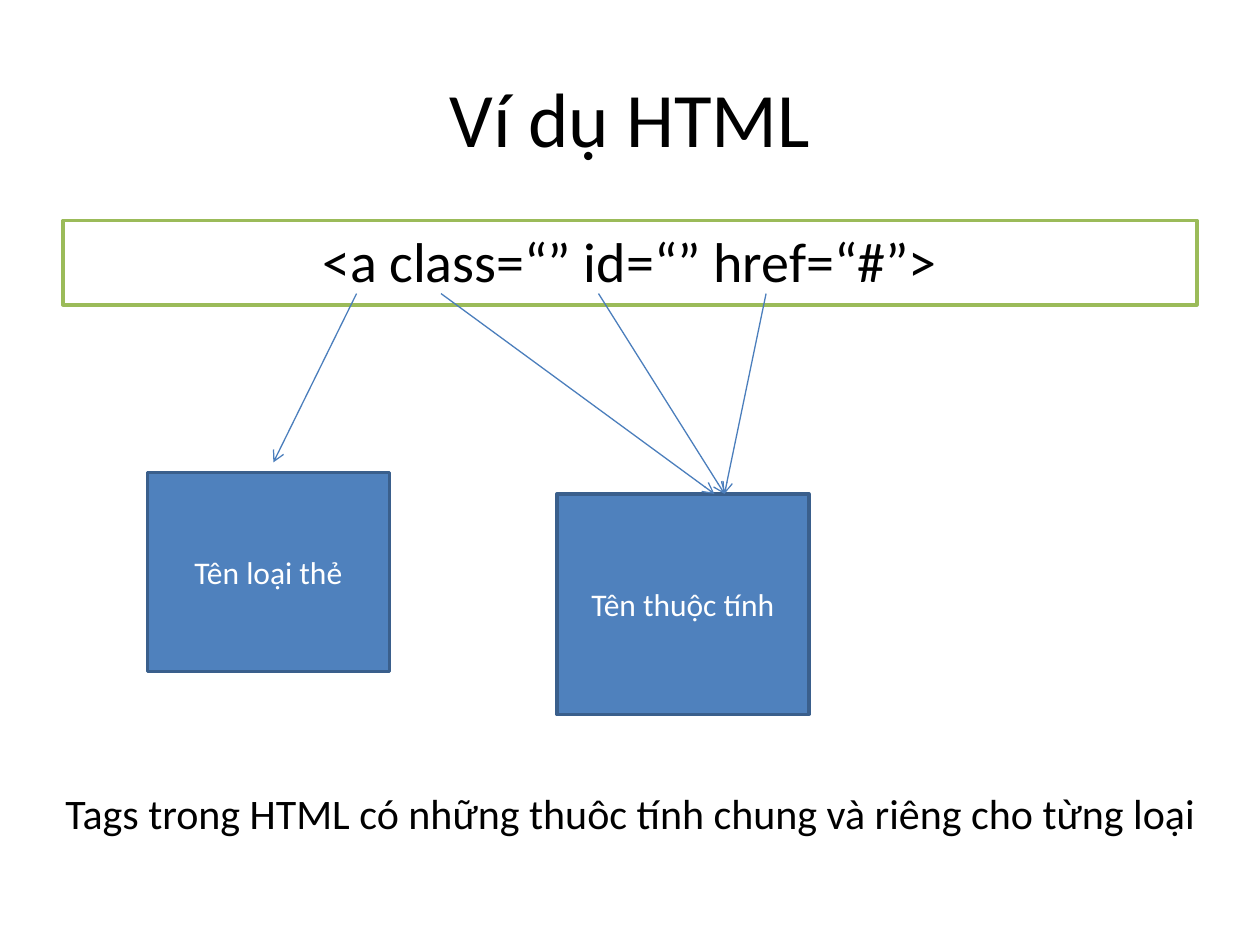
from pptx import Presentation
from pptx import util as u
from pptx.dml.color import RGBColor
from pptx.enum import shapes, text
from pptx.oxml.ns import qn
from lxml import etree

COLORS = {
    "black": "000000",
    "white": "FFFFFF",
    "green": "9BBB59",
    "blue": "4F81BD",
    "outline": "3A5F8C",
    "arrow": "4B7EBC",
}


def rgb(name):
    return RGBColor.from_string(COLORS[name])


class Page:
    font = "Calibri"

    def __init__(self, slide):
        self.slide = slide

    def add_words(self, sp, words, size, color, align, anchor, wrap=True):
        tf = sp.text_frame
        tf.word_wrap = wrap
        tf.vertical_anchor = anchor
        p = tf.paragraphs[0]
        p.alignment = align
        r = p.add_run()
        r.text = words
        r.font.name = self.font
        r.font.size = u.Pt(size)
        r.font.color.rgb = rgb(color)

    def label(self, words, at, size, align=text.PP_ALIGN.LEFT,
              anchor=text.MSO_ANCHOR.TOP, wrap=True):
        sp = self.slide.shapes.add_textbox(*map(u.Inches, at))
        self.add_words(sp, words, size, "black", align, anchor, wrap)
        return sp

    def box(self, words, at, size=18, fill="blue", line="outline",
            color="white", anchor=text.MSO_ANCHOR.MIDDLE):
        sp = self.slide.shapes.add_shape(
            shapes.MSO_SHAPE.RECTANGLE, *map(u.Inches, at))
        sp.shadow.inherit = False
        sp.fill.solid()
        sp.fill.fore_color.rgb = rgb(fill)
        sp.line.color.rgb = rgb(line)
        sp.line.width = u.Pt(2)
        self.add_words(sp, words, size, color, text.PP_ALIGN.CENTER, anchor)

    def arrow(self, start, end):
        cxn = self.slide.shapes.add_connector(
            shapes.MSO_CONNECTOR.STRAIGHT, *map(u.Inches, (*start, *end)))
        cxn.line.color.rgb = rgb("arrow")
        cxn.line.width = u.Pt(0.75)
        sp_pr = cxn._element.spPr
        etree.SubElement(sp_pr.find(qn("a:ln")), qn("a:tailEnd"), type="arrow")
        etree.SubElement(sp_pr, qn("a:effectLst"))


def main():
    prs = Presentation()
    prs.slide_width, prs.slide_height = u.Inches(10), u.Inches(7.5)
    page = Page(prs.slides.add_slide(prs.slide_layouts[6]))

    page.label("Ví dụ HTML", (0.5, 0.3, 9, 1.25), 44,
               text.PP_ALIGN.CENTER, text.MSO_ANCHOR.MIDDLE)
    page.box("<a class=“” id=“” href=“#”>", (0.5, 1.75, 9, 0.67), 32,
             "white", "green", "black", text.MSO_ANCHOR.TOP)

    page.box("Tên loại thẻ", (1.17, 3.75, 1.92, 1.58))
    page.box("Tên thuộc tính", (4.42, 3.92, 2, 1.75))

    code_y, attribute_y = 2.33, 3.92
    page.arrow((2.83, code_y), (2.17, 3.67))
    for start_x, end_x in ((4.75, 5.75), (3.5, 5.67), (6.08, 5.75)):
        page.arrow((start_x, code_y), (end_x, attribute_y))

    caption = page.label(
        "Tags trong HTML có những thuôc tính chung và riêng cho từng loại",
        (0.42, 6.2, 9.25, 0.5), 24, wrap=False)
    caption.text_frame.auto_size = text.MSO_AUTO_SIZE.SHAPE_TO_FIT_TEXT

    prs.save("out.pptx")


if __name__ == "__main__":
    main()
